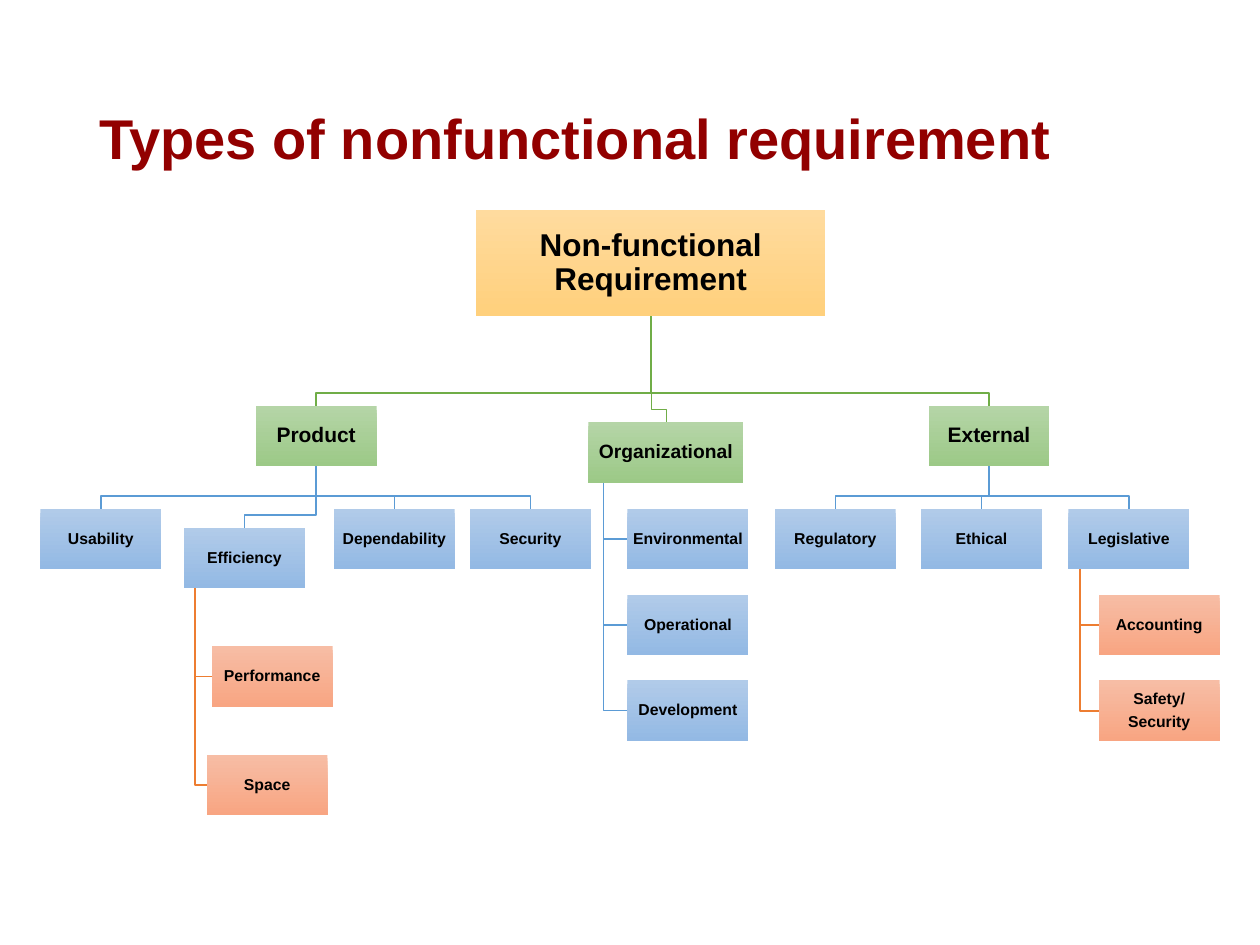
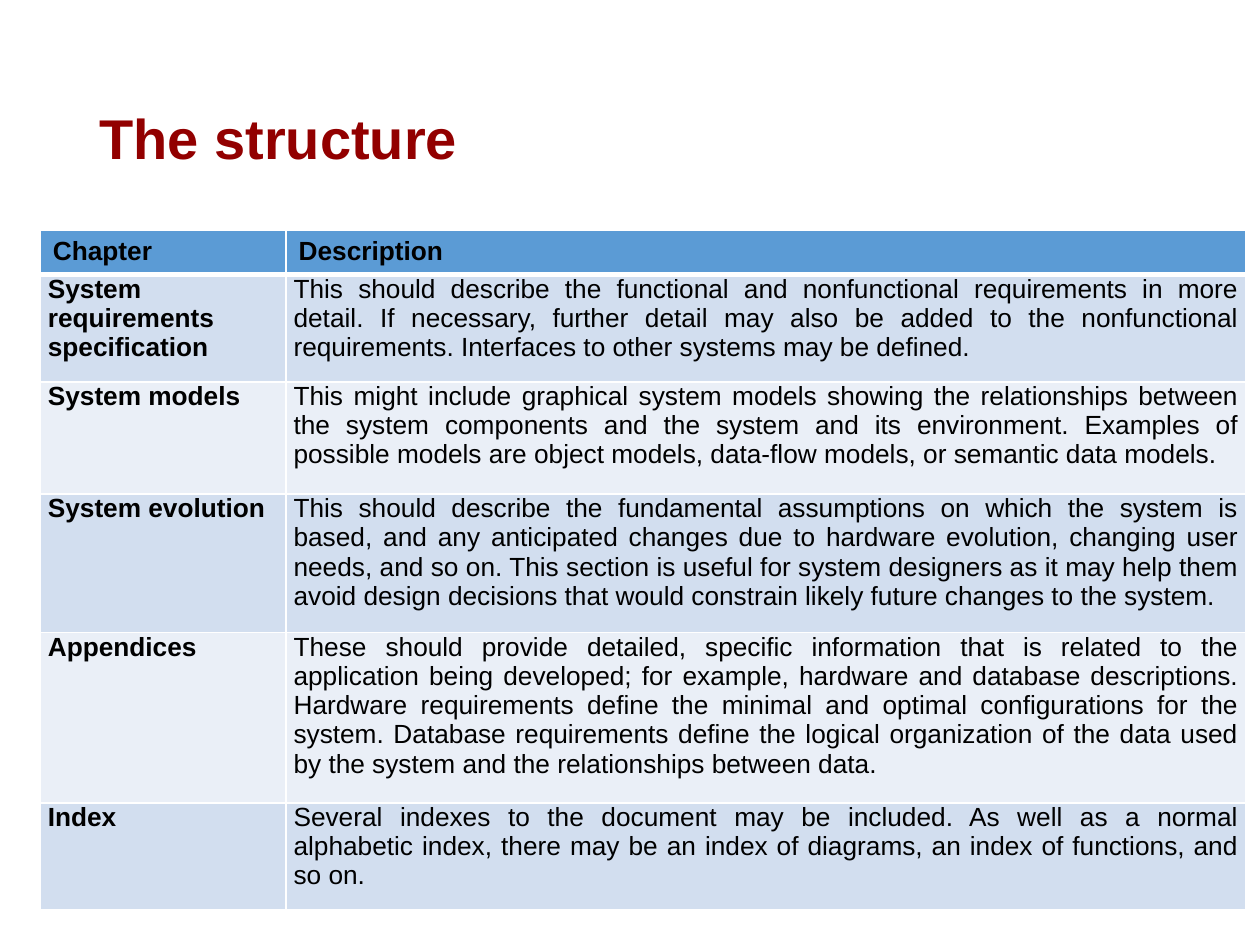
from dataclasses import dataclass, field

from lxml.etree import SubElement
from pptx import Presentation
from pptx.dml.color import RGBColor
from pptx.enum.shapes import MSO_SHAPE
from pptx.enum.text import MSO_ANCHOR, PP_ALIGN
from pptx.oxml.ns import qn
from pptx.util import Emu, Pt

# Shared look: 100 px to the inch
PX = 9144
FONT = "Arial"
BLACK, WHITE, TITLE_RED = "000000", "FFFFFF", "920000"
HEADER_BLUE, BANDS = "5B9BD5", ("D2DEEF", "EAEFF7")

# One entry per tree level: (gradient top, gradient bottom, line to parent, text size)
LEVELS = (
    ("FFDB9E", "FFD07C", None, 18),
    ("B5D5A7", "9CC987", "70AD47", 12),
    ("B1CBE9", "93B9E4", "5B9BD5", 9),
    ("F7BDA5", "F8A582", "ED7D31", 9),
)
BRANCH_TOP = 322
LEAF_TOPS = [404 + 68 * row for row in range(3)]
ELBOW = 10  # height of the last step of a line above its box


@dataclass
class Requirement:
    label: str
    left: int
    top: int
    children: list = field(default_factory=list)
    hanging: bool = False  # children hang from a trunk on the left
    width: int = 96
    height: int = 48
    size: int = 0  # 0 takes the size of the level

    def center(self):
        return self.left + (self.width + 1) // 2

    def bottom(self):
        return self.top + self.height


def stack(left, labels, tops):
    return [Requirement(label, left, top) for label, top in zip(labels, tops)]


PRODUCT = Requirement("Product", 203, BRANCH_TOP, [
    Requirement("Usability", 32, LEAF_TOPS[0]),
    Requirement("Efficiency", 146, 419, [
        Requirement("Performance", 168, 513),
        Requirement("Space", 164, 599),
    ], hanging=True),
    Requirement("Dependability", 265, LEAF_TOPS[0]),
    Requirement("Security", 373, LEAF_TOPS[0]),
])
ORGANIZATIONAL = Requirement(
    "Organizational", 467, 335,
    stack(498, ("Environmental", "Operational", "Development"), LEAF_TOPS),
    hanging=True, width=123, size=11)
EXTERNAL = Requirement("External", 737, BRANCH_TOP, [
    Requirement("Regulatory", 615, LEAF_TOPS[0]),
    Requirement("Ethical", 731, LEAF_TOPS[0]),
    Requirement("Legislative", 848, LEAF_TOPS[0],
                stack(872, ("Accounting", "Safety/\nSecurity"), LEAF_TOPS[1:]),
                hanging=True),
])
ROOT = Requirement("Non-functional Requirement", 378, 167,
                   [PRODUCT, ORGANIZATIONAL, EXTERNAL], width=277, height=84)

# Table content: (chapter, description, row height)
CHAPTERS = (
    ("Chapter", "Description", 35),
    ("System requirements specification",
     "This should describe the functional and nonfunctional requirements in more "
     "detail. If necessary, further detail may also be added to the nonfunctional "
     "requirements. Interfaces to other systems may be defined.", 76),
    ("System models",
     "This might include graphical system models showing the relationships between "
     "the system components and the system and its environment. Examples of possible "
     "models are object models, data-flow models, or semantic data models.", 89),
    ("System evolution",
     "This should describe the fundamental assumptions on which the system is based, "
     "and any anticipated changes due to hardware evolution, changing user needs, and "
     "so on. This section is useful for system designers as it may help them avoid "
     "design decisions that would constrain likely future changes to the system.", 109),
    ("Appendices",
     "These should provide detailed, specific information that is related to the "
     "application being developed; for example, hardware and database descriptions. "
     "Hardware requirements define the minimal and optimal configurations for the "
     "system. Database requirements define the logical organization of the data used "
     "by the system and the relationships between data.", 129),
    ("Index",
     "Several indexes to the document may be included. As well as a normal alphabetic "
     "index, there may be an index of diagrams, an index of functions, and so on.", 69),
)
CHAPTER_COLUMNS = (195, 762)


def px(*lengths):
    return [Emu(length * PX) for length in lengths]


def color(hex_string):
    return RGBColor.from_string(hex_string)


def add_run(paragraph, text, size, hex_color=BLACK, bold=True):
    run = paragraph.add_run()
    run.text = text
    run.font.name, run.font.size, run.font.bold = FONT, Pt(size), bold
    run.font.color.rgb = color(hex_color)


def set_margins(holder, left, top, right, bottom):
    (holder.margin_left, holder.margin_top,
     holder.margin_right, holder.margin_bottom) = px(left, top, right, bottom)


def add_titled_slide(deck, title):
    slide = deck.slides.add_slide(deck.slide_layouts[6])
    frame = slide.shapes.add_textbox(*px(69, 40, 862, 145)).text_frame
    frame.word_wrap = True
    frame.vertical_anchor = MSO_ANCHOR.MIDDLE
    heading = frame.paragraphs[0]
    heading.line_spacing = 0.9
    add_run(heading, title, 32, TITLE_RED)
    return slide


# Requirement tree
def add_branch_line(slide, parent, child, hex_color):
    if parent.hanging:
        trunk = parent.left + parent.width // 10
        middle = child.top + child.height // 2
        points = [(trunk, parent.bottom()), (trunk, middle), (child.left, middle)]
    else:
        bend = child.top - ELBOW
        points = [(parent.center(), parent.bottom()), (parent.center(), bend),
                  (child.center(), bend), (child.center(), child.top)]
    builder = slide.shapes.build_freeform(*points[0], scale=PX)
    builder.add_line_segments(points[1:], close=False)
    branch = builder.convert_to_shape()
    branch.shadow.inherit = False
    branch.fill.background()
    branch.line.color.rgb = color(hex_color)
    branch.line.width = Pt(1)


def add_branch_lines(slide, parent, depth=0):
    for child in parent.children:
        add_branch_line(slide, parent, child, LEVELS[depth + 1][2])
        add_branch_lines(slide, child, depth + 1)


def add_requirement_boxes(slide, requirement, depth=0):
    shade_top, shade_bottom, _, level_size = LEVELS[depth]
    size = requirement.size or level_size
    box = slide.shapes.add_shape(MSO_SHAPE.RECTANGLE, *px(
        requirement.left, requirement.top, requirement.width, requirement.height))
    box.shadow.inherit = False
    box.line.fill.background()
    box.fill.gradient()
    box.fill.gradient_angle = 270
    for stop, shade in zip(box.fill.gradient_stops, (shade_top, shade_bottom)):
        stop.color.rgb = color(shade)

    frame = box.text_frame
    frame.word_wrap = True
    frame.vertical_anchor = MSO_ANCHOR.MIDDLE
    set_margins(frame, 1, 1, 1, 1)
    for index, line in enumerate(requirement.label.split("\n")):
        paragraph = frame.add_paragraph() if index else frame.paragraphs[0]
        paragraph.alignment = PP_ALIGN.CENTER
        paragraph.line_spacing = 0.9
        paragraph.space_after = Pt(0.35 * size)
        add_run(paragraph, line, size)

    for child in requirement.children:
        add_requirement_boxes(slide, child, depth + 1)


# Chapter table
def set_cell_borders(cell, top, bottom):
    properties = cell._tc.get_or_add_tcPr()
    for side, width in (("L", 1), ("R", 1), ("T", top), ("B", bottom)):
        border = SubElement(properties, qn(f"a:ln{side}"), w=str(Pt(width)))
        fill = SubElement(border, qn("a:solidFill"))
        SubElement(fill, qn("a:srgbClr"), val=WHITE)


def fill_cell(cell, text, row, bold):
    is_header = row == 0
    set_cell_borders(cell, top=3 if row == 1 else 1, bottom=3 if is_header else 1)
    cell.fill.solid()
    cell.fill.fore_color.rgb = color(HEADER_BLUE if is_header else BANDS[(row - 1) % 2])
    paragraph = cell.text_frame.paragraphs[0]
    if not is_header:
        set_margins(cell, 6, 0, 6, 10)
        paragraph.alignment = PP_ALIGN.JUSTIFY
    add_run(paragraph, text, 15, bold=bold)


def add_chapter_table(slide):
    heights = [height for _, _, height in CHAPTERS]
    table = slide.shapes.add_table(
        len(CHAPTERS), len(CHAPTER_COLUMNS),
        *px(32, 183, sum(CHAPTER_COLUMNS), sum(heights))).table
    for column, width in zip(table.columns, px(*CHAPTER_COLUMNS)):
        column.width = width
    for row, (chapter, description, height) in enumerate(CHAPTERS):
        table.rows[row].height = px(height)[0]
        fill_cell(table.cell(row, 0), chapter, row, bold=True)
        fill_cell(table.cell(row, 1), description, row, bold=row == 0)


def main():
    deck = Presentation()
    deck.slide_width, deck.slide_height = px(1000, 750)

    types_slide = add_titled_slide(deck, "Types of nonfunctional requirement")
    add_branch_lines(types_slide, ROOT)
    add_requirement_boxes(types_slide, ROOT)

    structure_slide = add_titled_slide(deck, "The structure")
    add_chapter_table(structure_slide)

    deck.save("out.pptx")


if __name__ == "__main__":
    main()
